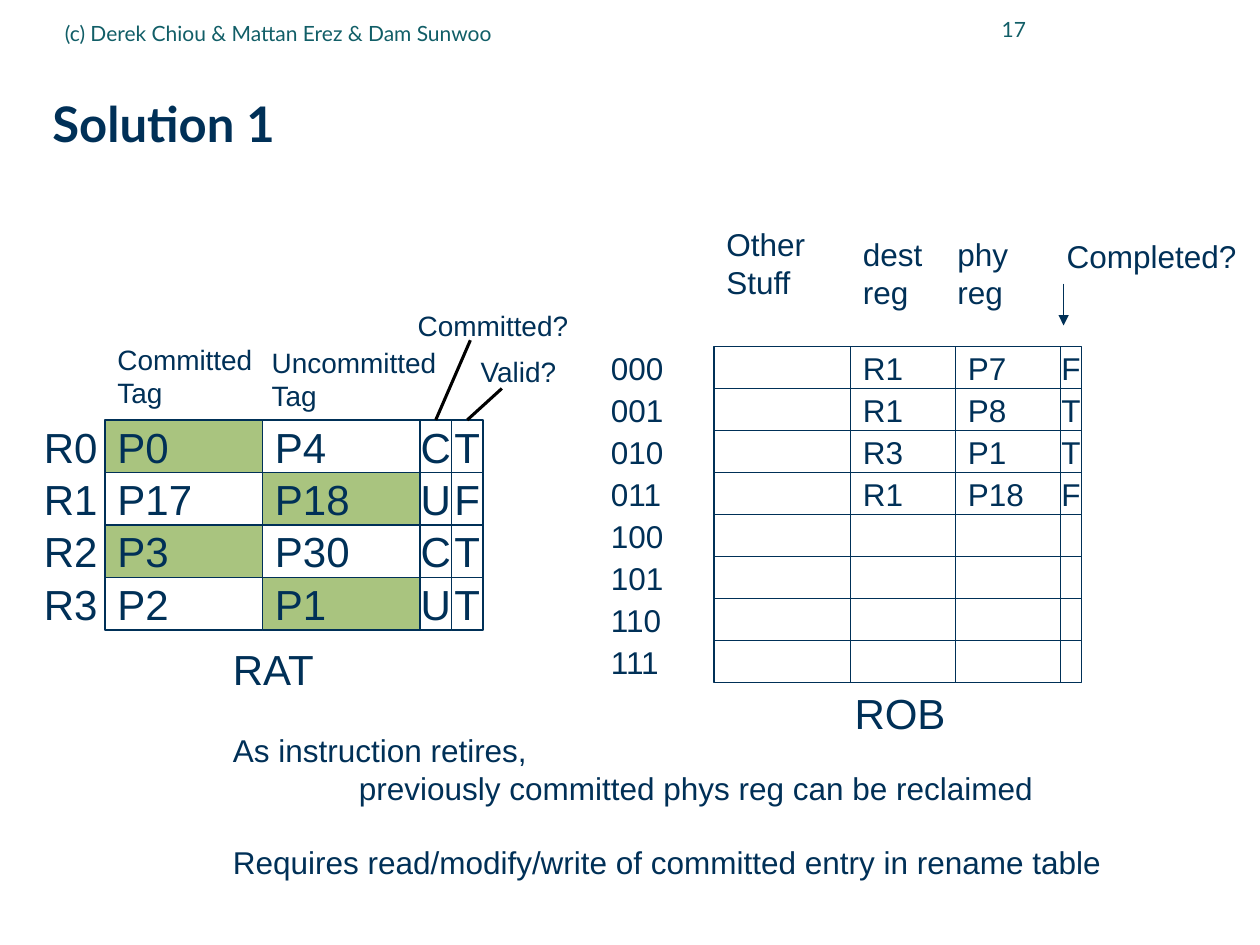
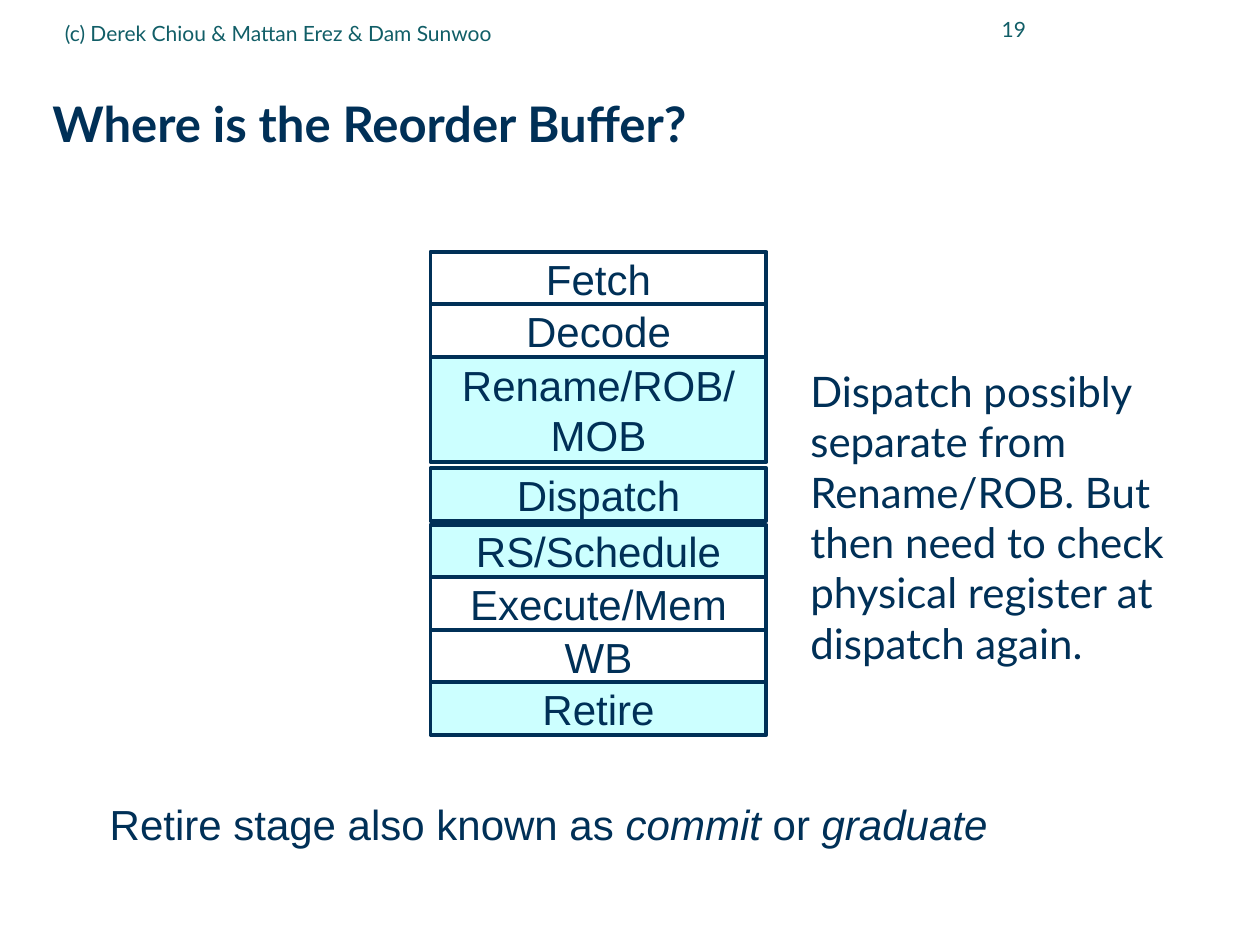
from lxml import etree
from pptx import Presentation
from pptx.dml.color import RGBColor
from pptx.enum.shapes import MSO_CONNECTOR, MSO_SHAPE
from pptx.enum.text import MSO_ANCHOR as Anchor, MSO_AUTO_SIZE as AutoSize, PP_ALIGN as Align
from pptx.oxml.ns import qn
from pptx.util import Pt

PX = 7620
NAVY = RGBColor(0x00, 0x30, 0x57)
TEAL = RGBColor(0x11, 0x5E, 0x67)
GREEN = RGBColor(0xA9, 0xC4, 0x7F)
CYAN = RGBColor(0xCC, 0xFF, 0xFF)
BLACK = RGBColor(0, 0, 0)
BODY_FONT = "Arial"
THEME_FONT = "Lato"
COPYRIGHT = "(c) Derek Chiou & Mattan Erez & Dam Sunwoo"

RAT_TOP, RAT_ROW = 400, 50
RAT_COLUMNS = [(100, 150, Align.LEFT), (250, 150, Align.LEFT),
               (400, 30, Align.CENTER), (430, 30, Align.CENTER)]
RAT_ROWS = [("P0", "P4", "C", "T"), ("P17", "P18", "U", "F"),
            ("P3", "P30", "C", "T"), ("P2", "P1", "U", "T")]

ROB_TOP, ROB_ROW = 330, 40
ROB_COLUMNS = [(680, 130, Align.LEFT), (810, 100, Align.LEFT),
               (910, 100, Align.LEFT), (1010, 20, Align.CENTER)]
ROB_ROWS = [("", "R1", "P7", "F"), ("", "R1", "P8", "T"),
            ("", "R3", "P1", "T"), ("", "R1", "P18", "F")] + [("",) * 4] * 4

STAGES = [("Fetch", 240, 50, None), ("Decode", 290, 50, None),
          ("Rename/ROB/\vMOB", 340, 100, CYAN), ("Dispatch", 446, 50, CYAN),
          ("RS/Schedule", 500, 50, CYAN), ("Execute/Mem", 550, 50, None),
          ("WB", 600, 50, None), ("Retire", 650, 50, CYAN)]


def emu(*lengths):
    return [length * PX for length in lengths]


def style_text(frame, size, font=BODY_FONT, color=NAVY, align=Align.LEFT, bold=False):
    for para in frame.paragraphs:
        para.alignment = align
        for span in para.runs:
            span.font.size = Pt(size)
            span.font.name = font
            span.font.bold = bold
            span.font.color.rgb = color


def add_text(slide, place, text, size, anchor=Anchor.TOP, wrap=False, **style):
    box = slide.shapes.add_textbox(*emu(*place))
    frame = box.text_frame
    frame.word_wrap = wrap
    frame.vertical_anchor = anchor
    frame.auto_size = AutoSize.SHAPE_TO_FIT_TEXT if anchor == Anchor.TOP else AutoSize.NONE
    frame.text = text
    style_text(frame, size, **style)
    return frame


def add_cell(slide, place, text, size, fill=None, line_width=0.75, align=Align.CENTER):
    cell = slide.shapes.add_shape(MSO_SHAPE.RECTANGLE, *emu(*place))
    cell.shadow.inherit = False
    if fill is None:
        cell.fill.background()
    else:
        cell.fill.solid()
        cell.fill.fore_color.rgb = fill
    cell.line.color.rgb = NAVY
    cell.line.width = Pt(line_width)
    frame = cell.text_frame
    frame.word_wrap = False
    frame.vertical_anchor = Anchor.MIDDLE
    frame.text = text
    style_text(frame, size, align=align)
    return cell


def add_line(slide, start, end, color, width, arrow=False):
    line = slide.shapes.add_connector(MSO_CONNECTOR.STRAIGHT, *emu(*start, *end))
    line.line.color.rgb = color
    line.line.width = Pt(width)
    if arrow:
        etree.SubElement(line.line._get_or_add_ln(), qn("a:tailEnd"), type="triangle")
    etree.SubElement(line._element.spPr, qn("a:effectLst"))
    return line


def add_grid(slide, columns, rows, top, row_height, size, is_marked):
    grid = []
    for row, values in enumerate(rows):
        y = top + row * row_height
        grid.append([
            add_cell(slide, (x, y, width, row_height), value, size,
                     GREEN if is_marked(row, column) else None, align=align)
            for column, ((x, width, align), value) in enumerate(zip(columns, values))])
    return grid


def add_row_labels(slide, labels, left, width, top, row_height, size):
    for row, label in enumerate(labels):
        place = (left, top + row * row_height, width, row_height)
        add_text(slide, place, label, size, Anchor.MIDDLE)


def add_page(deck, title, number):
    page = deck.slides.add_slide(deck.slide_layouts[6])
    heading = add_text(page, (50, 60, 1129, 118), title, 28, Anchor.MIDDLE, True,
                       font=THEME_FONT, bold=True)
    heading.margin_left = heading.margin_right = 0
    heading.margin_top = heading.margin_bottom = 0
    heading.paragraphs[0].line_spacing = 0.99
    add_text(page, (880, -2, 109, 60), str(number), 12, Anchor.MIDDLE, True,
             font=THEME_FONT, color=TEAL, align=Align.RIGHT)
    add_text(page, (50, 4, 680, 55), COPYRIGHT, 12, Anchor.MIDDLE, True,
             font=THEME_FONT, color=TEAL)
    return page


def add_rename_table(page):
    add_row_labels(page, ["R0", "R1", "R2", "R3"], 30, 70, RAT_TOP, RAT_ROW, 24)
    grid = add_grid(page, RAT_COLUMNS, RAT_ROWS, RAT_TOP, RAT_ROW, 24,
                    lambda row, column: column == row % 2)
    add_text(page, (100, 320, 155, 77), "Committed\nTag", 16)
    add_text(page, (247, 323, 182, 77), "Uncommitted\nTag", 16)
    add_text(page, (446, 332, 97, 44), "Valid?", 16)
    add_text(page, (386, 288, 169, 44), "Committed?", 16)
    for start, column in [((448, 324), 2), ((478, 370), 3)]:
        x, width, _ = RAT_COLUMNS[column]
        pointer = add_line(page, start, (x + width // 2, RAT_TOP), BLACK, 1.75)
        pointer.end_connect(grid[0][column], 0)
    add_text(page, (210, 607, 102, 60), "RAT", 24)


def add_reorder_buffer(page):
    add_row_labels(page, [f"{index:03b}" for index in range(8)],
                   570, 100, ROB_TOP, ROB_ROW, 18)
    add_grid(page, ROB_COLUMNS, ROB_ROWS, ROB_TOP, ROB_ROW, 18,
             lambda row, column: False)
    for text, x, y, width in [("Other\nStuff", 680, 230, 130),
                              ("dest\nreg", 810, 240, 100),
                              ("phy\nreg", 900, 240, 100)]:
        add_text(page, (x, y, width, 40), text, 18, Anchor.MIDDLE)
    add_text(page, (1004, 220, 186, 48), "Completed?", 18)
    add_line(page, (1013, 270), (1013, 310), NAVY, 0.75, arrow=True)
    add_text(page, (802, 649, 112, 60), "ROB", 24)


def add_retire_note(page):
    note = add_text(page, (210, 690, 859, 157),
                    "As instruction retires,\n"
                    "previously committed phys reg can be reclaimed\n"
                    "Requires read/modify/write of committed entry in rename table", 18)
    _, reclaimed, requirement = note.paragraphs
    reclaimed._p.get_or_add_pPr().set("marL", str(120 * PX))
    requirement.space_before = Pt(21)


def add_pipeline(page):
    for name, top, height, fill in STAGES:
        add_cell(page, (410, top, 320, height), name, 24, fill, 2.25)
    add_text(page, (760, 342, 420, 302),
             "Dispatch possibly separate from Rename/ROB. "
             "But then need to check physical register at dispatch again.",
             24, wrap=True, font=THEME_FONT)


def add_synonyms(page):
    frame = add_text(page, (88, 755, 869, 60), "", 24)
    for text, italic in [("Retire stage also known as ", False), ("commit", True),
                         (" or ", False), ("graduate", True)]:
        span = frame.paragraphs[0].add_run()
        span.text = text
        span.font.italic = italic
    style_text(frame, 24, align=Align.CENTER)


def main():
    deck = Presentation()
    deck.slide_width, deck.slide_height = emu(1200, 900)

    solution = add_page(deck, "Solution 1", 17)
    add_rename_table(solution)
    add_reorder_buffer(solution)
    add_retire_note(solution)

    stages = add_page(deck, "Where is the Reorder Buffer?", 19)
    add_pipeline(stages)
    add_synonyms(stages)

    deck.save("out.pptx")


if __name__ == "__main__":
    main()
